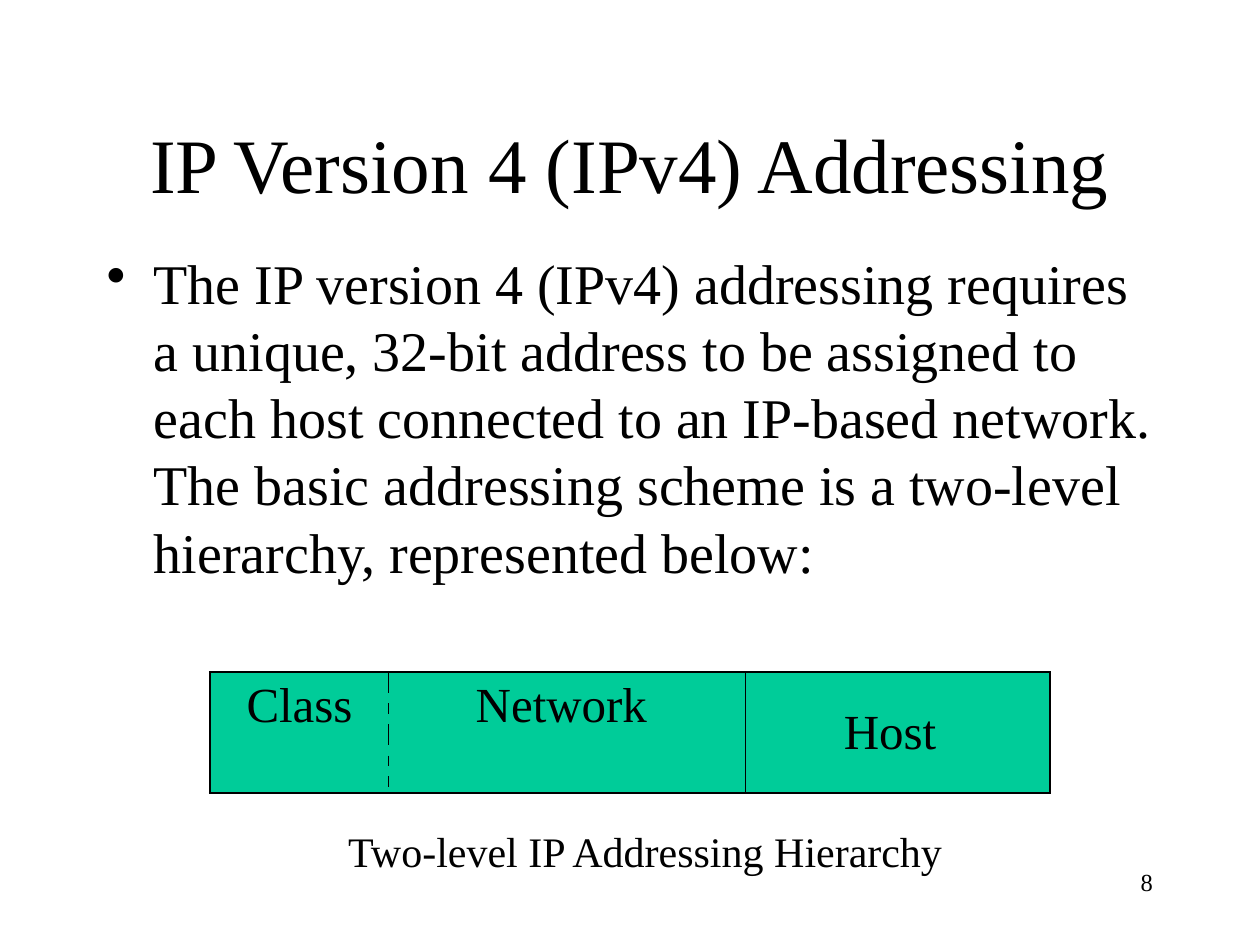
import pptx
import pptx.dml.color
import pptx.enum.shapes
import pptx.enum.text
import pptx.oxml
import pptx.oxml.ns
import pptx.util
from lxml import etree

Cm, Pt = pptx.util.Cm, pptx.util.Pt
ALIGN, ANCHOR = pptx.enum.text.PP_ALIGN, pptx.enum.text.MSO_ANCHOR
FONT = "Times New Roman"
COLORS = {"text": "000000", "line": "000000", "cell": "00CC99"}

TITLE = "IP Version 4 (IPv4) Addressing"
BODY = (
    "The IP version 4 (IPv4) addressing requires a unique, 32-bit address "
    "to be assigned to each host connected to an IP-based network. The basic "
    "addressing scheme is a two-level hierarchy, represented below:"
)
CAPTION = "Two-level IP Addressing Hierarchy"
PAGE = "8"

# text, column width, left margin, anchor
FIELDS = [
    ("Class\tNetwork", 10.8, 0.74, ANCHOR.TOP),
    ("Host", 6.14, 1.98, ANCHOR.MIDDLE),
]
NETWORK_TAB = 4.62
TABLE_LEFT, TABLE_TOP, ROW_HEIGHT = 4.23, 13.55, 2.44
OUTER, INNER = 1.08, 0.45

# start and end of each dash, in steps down from the table top
DASHES = [(0, 2), (3, 4), (5, 6), (6, 7), (8, 9), (10, 11)]
DASH_X, DASH_STEP = 7.83, 0.21


def rgb(name):
    return pptx.dml.color.RGBColor.from_string(COLORS[name])


def add_child(parent, tag, **attrs):
    return etree.SubElement(parent, pptx.oxml.ns.qn(tag), attrs)


def format_runs(p, size):
    for r in p.runs:
        r.font.size = Pt(size)
        r.font.name = FONT
        r.font.color.rgb = rgb("text")


def add_text(s, text, box, size, align=ALIGN.LEFT, anchor=ANCHOR.TOP):
    tf = s.shapes.add_textbox(*map(Cm, box)).text_frame
    tf.word_wrap = True
    tf.vertical_anchor = anchor
    tf.text = text
    p = tf.paragraphs[0]
    p.alignment = align
    format_runs(p, size)
    return p


def add_bullet(p, indent):
    pPr = p._p.get_or_add_pPr()
    pPr.set("marL", str(Cm(indent)))
    pPr.set("indent", str(-Cm(indent)))
    add_child(pPr, "a:buChar", char="•")


def add_borders(cell, widths):
    """Put the border lines ahead of the fill, as the schema orders them."""
    tcPr = cell._tc.get_or_add_tcPr()
    for i, (tag, width) in enumerate(zip(("lnL", "lnR", "lnT", "lnB"), widths)):
        ln = add_child(tcPr, "a:" + tag, w=str(Pt(width)))
        fill = add_child(ln, "a:solidFill")
        add_child(fill, "a:srgbClr", val=COLORS["line"])
        tcPr.insert(i, ln)


def add_address_table(s):
    width = sum(field[1] for field in FIELDS)
    table = s.shapes.add_table(
        1, len(FIELDS), Cm(TABLE_LEFT), Cm(TABLE_TOP), Cm(width), Cm(ROW_HEIGHT)
    ).table
    last = len(FIELDS) - 1
    for i, (text, col_width, margin, anchor) in enumerate(FIELDS):
        table.columns[i].width = Cm(col_width)
        cell = table.cell(0, i)
        cell.text_frame.text = text
        cell.margin_left = Cm(margin)
        cell.vertical_anchor = anchor
        cell.fill.solid()
        cell.fill.fore_color.rgb = rgb("cell")
        p = cell.text_frame.paragraphs[0]
        format_runs(p, 28)
        if "\t" in text:
            tabs = add_child(p._p.get_or_add_pPr(), "a:tabLst")
            add_child(tabs, "a:tab", pos=str(Cm(NETWORK_TAB)), algn="l")
        left = OUTER if i == 0 else INNER
        right = OUTER if i == last else INNER
        add_borders(cell, (left, right, OUTER, OUTER))


def add_class_divider(s):
    for start, end in DASHES:
        y1, y2 = (Cm(TABLE_TOP + n * DASH_STEP) for n in (start, end))
        line = s.shapes.add_connector(
            pptx.enum.shapes.MSO_CONNECTOR.STRAIGHT, Cm(DASH_X), y1, Cm(DASH_X), y2
        )
        line.line.color.rgb = rgb("line")
        line.line.width = Pt(0.75)
        add_child(line._element.spPr, "a:effectLst")


def main():
    prs = pptx.Presentation()
    prs.slide_width, prs.slide_height = Cm(25.4), Cm(19.05)
    s = prs.slides.add_slide(prs.slide_layouts[6])
    add_text(s, TITLE, (1.9, 1.7, 21.59, 3.18), 44, ALIGN.CENTER, ANCHOR.MIDDLE)
    body = add_text(s, BODY, (1.9, 4.88, 21.59, 11.43), 32)
    body.space_before = Pt(8)
    add_bullet(body, 0.95)
    add_address_table(s)
    add_class_divider(s)
    caption = add_text(s, CAPTION, (6.77, 16.51, 12.7, 1.27), 24)
    caption.space_before = Pt(15)
    add_text(s, PAGE, (18.2, 17.36, 5.29, 1.27), 14, ALIGN.RIGHT)
    prs.save("out.pptx")


if __name__ == "__main__":
    main()
